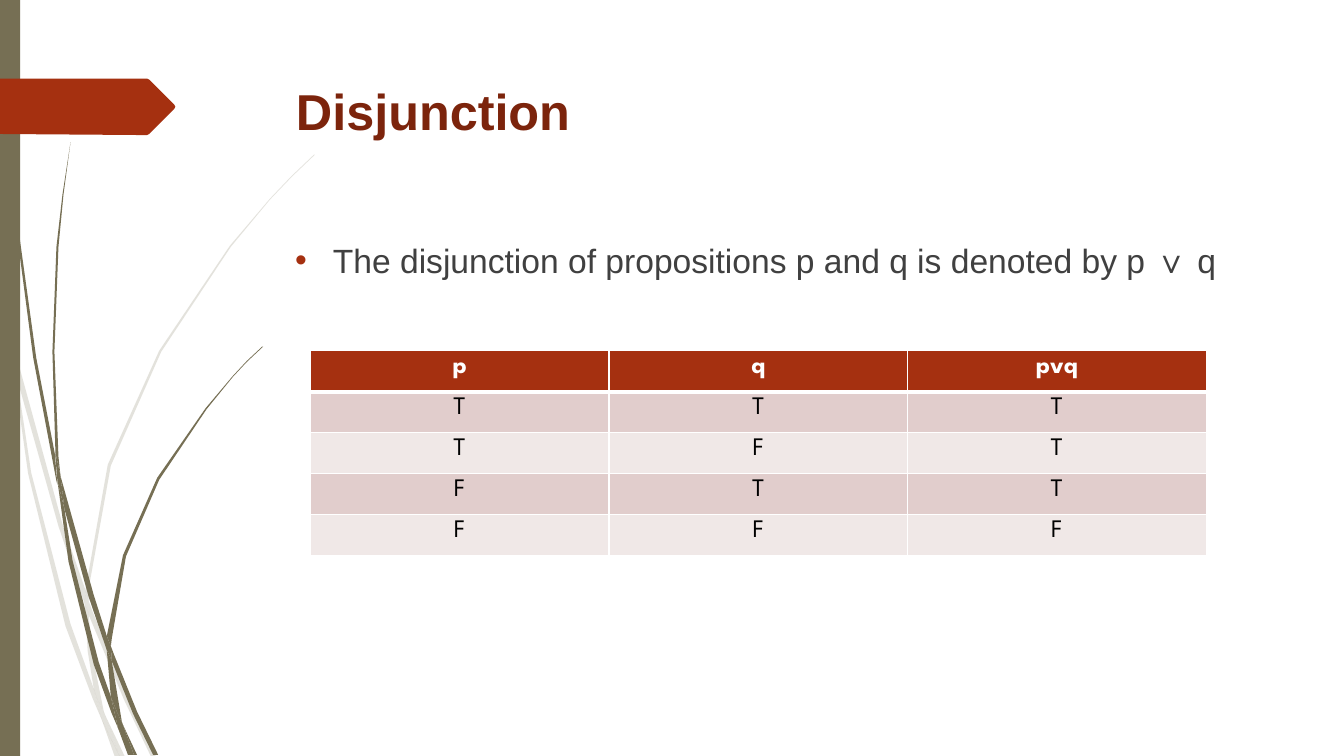
import pptx
import pptx.util
import pptx.dml.color
import pptx.enum.shapes
import pptx.enum.text
import pptx.oxml
import pptx.oxml.ns

Cm = pptx.util.Cm
Pt = pptx.util.Pt
RGBColor = pptx.dml.color.RGBColor
PP_ALIGN = pptx.enum.text.PP_ALIGN

OLIVE = RGBColor(0x76, 0x6F, 0x54)
RUST = RGBColor(0xA5, 0x30, 0x10)
DARK_RUST = RGBColor(0x7C, 0x24, 0x0C)
GREY = RGBColor(0x40, 0x40, 0x40)
BLACK = RGBColor(0, 0, 0)
WHITE = RGBColor(0xFF, 0xFF, 0xFF)
BANDS = (RGBColor(0xE1, 0xCD, 0xCC), RGBColor(0xF0, 0xE8, 0xE7))

TITLE = "Disjunction"
STATEMENT = "The disjunction of propositions p and q is denoted by p ∨ q"
TRUTH_TABLE = [
    ("p", "q", "pvq"),
    ("T", "T", "T"),
    ("T", "F", "T"),
    ("F", "T", "T"),
    ("F", "F", "F"),
]
TITLE_FONT = {"name": "Arial", "size": Pt(36), "bold": True}
BODY_FONT = {"name": "Arial", "size": Pt(24), "bold": False}
HEAD_FONT = {"name": "League Spartan", "size": Pt(18), "bold": True}
CELL_FONT = {"name": "League Spartan", "size": Pt(18), "bold": False}

GRID = Cm(0.0254)
PALE_GRASS = [
    [(11, 350), (9, 322), (0, 282), (0, 299), (10, 344)],
    [(58, 522), (84, 599), (85, 586), (62, 520), (14, 345), (17, 376)],
    [(92, 607), (88, 596), (88, 610), (123, 694), (150, 751), (155, 751),
     (127, 692)],
    [(119, 751), (124, 751), (105, 711)],
    [(93, 683), (70, 619), (31, 469), (17, 376), (11, 350), (28, 470),
     (65, 621), (92, 693), (101, 714), (99, 707)],
    [(84, 599), (87, 646), (93, 683), (96, 692), (105, 711), (103, 706),
     (91, 646), (88, 610), (88, 608)],
    [(88, 584), (110, 462), (160, 349), (229, 245), (268, 198), (290, 175),
     (312, 154), (312, 153), (289, 175), (268, 197), (228, 244), (158, 348),
     (107, 461), (85, 584), (85, 586), (88, 596)],
    [(101, 714), (114, 751), (119, 751)],
    [(88, 608), (88, 610), (88, 596), (85, 586), (84, 599)],
    [(96, 692), (93, 683), (99, 707), (101, 714), (119, 751), (105, 711)],
]
DARK_GRASS = [
    [(7, 110), (17, 233), (33, 355), (56, 477), (57, 481), (55, 457),
     (55, 453), (36, 355), (19, 232), (8, 109), (5, 48), (4, 0), (3, 0),
     (4, 48)],
    [(88, 592), (106, 645), (106, 633), (106, 631), (93, 590), (60, 472),
     (64, 505)],
    [(113, 649), (110, 641), (111, 656), (132, 708), (152, 749), (157, 749),
     (136, 706)],
    [(110, 691), (98, 657), (72, 556), (64, 505), (57, 477), (68, 557),
     (93, 659), (111, 708), (117, 722), (116, 717)],
    [(60, 472), (58, 453), (54, 349), (58, 245), (63, 193), (70, 141),
     (62, 193), (56, 245), (52, 349), (55, 449)],
    [(133, 749), (136, 749), (122, 719)],
    [(57, 477), (64, 505), (60, 472), (55, 449), (55, 453)],
    [(111, 633), (125, 552), (158, 476), (205, 406), (231, 374), (245, 359),
     (261, 344), (260, 344), (245, 358), (231, 373), (204, 405), (156, 474),
     (122, 551), (106, 631), (110, 641)],
    [(117, 722), (127, 749), (131, 749)],
    [(106, 645), (110, 691), (116, 706), (122, 719), (121, 716), (111, 656),
     (109, 651)],
    [(106, 645), (109, 651), (111, 656), (110, 641), (106, 631), (106, 633)],
    [(116, 706), (110, 691), (116, 717), (117, 722), (130, 749), (133, 749),
     (122, 719)],
]
ARROW_TAG = [(0, 78), (146, 78), (148, 79), (173, 104), (174, 106),
             (173, 108), (148, 133), (146, 134), (136, 134), (0, 133)]


def paint(sp, color):
    sp.shadow.inherit = False
    sp.fill.solid()
    sp.fill.fore_color.rgb = color
    sp.line.fill.background()


def add_outline(shapes, points, color):
    fb = shapes.build_freeform(*points[0], scale=GRID)
    fb.add_line_segments(points[1:], close=True)
    sp = fb.convert_to_shape()
    paint(sp, color)
    return sp


def add_xml(parent, xml):
    ns = pptx.oxml.ns.nsdecls("a")
    parent.append(pptx.oxml.parse_xml(xml.replace("/>", f" {ns}/>", 1)
                                      if xml.endswith("/>") and xml.count("<") == 1
                                      else xml.replace(">", f" {ns}>", 1)))


def write(p, text, font, color):
    p.text = text
    r = p.runs[0]
    for key, value in font.items():
        setattr(r.font, key, value)
    r.font.color.rgb = color


def add_text(s, box, text, font, color):
    tf = s.shapes.add_textbox(*(Cm(v) for v in box)).text_frame
    tf.word_wrap = True
    write(tf.paragraphs[0], text, font, color)
    return tf


def set_borders(cell, bottom):
    tc_pr = cell._tc.get_or_add_tcPr()
    fill = tc_pr[0]
    for side, width in (("L", 1), ("R", 1), ("T", 1), ("B", bottom)):
        ns = pptx.oxml.ns.nsdecls("a")
        fill.addprevious(pptx.oxml.parse_xml(
            f'<a:ln{side} {ns} w="{Pt(width)}"><a:solidFill>'
            f'<a:srgbClr val="{WHITE}"/></a:solidFill></a:ln{side}>'))


def add_truth_table(s):
    rows, cols = len(TRUTH_TABLE), len(TRUTH_TABLE[0])
    box = (Cm(7.82), Cm(8.84), Cm(22.58), Cm(5.16))
    table = s.shapes.add_table(rows, cols, *box).table
    for i, values in enumerate(TRUTH_TABLE):
        head = i == 0
        for j, value in enumerate(values):
            cell = table.cell(i, j)
            cell.fill.solid()
            cell.fill.fore_color.rgb = RUST if head else BANDS[(i - 1) % 2]
            p = cell.text_frame.paragraphs[0]
            p.alignment = PP_ALIGN.CENTER
            write(p, value, HEAD_FONT if head else CELL_FONT,
                  WHITE if head else BLACK)
            set_borders(cell, 3 if head else 1)


def main():
    prs = pptx.Presentation()
    prs.slide_width, prs.slide_height = Cm(33.87), Cm(19.05)
    s = prs.slides.add_slide(prs.slide_layouts[6])

    for strands, opacity in ((PALE_GRASS, 20), (DARK_GRASS, 100)):
        group = s.shapes.add_group_shape()
        for points in strands:
            sp = add_outline(group.shapes, points, OLIVE)
            if opacity < 100:
                clr = sp._element.spPr.find(".//" + pptx.oxml.ns.qn("a:srgbClr"))
                add_xml(clr, f'<a:alpha val="{opacity * 1000}"/>')

    bar = s.shapes.add_shape(pptx.enum.shapes.MSO_SHAPE.RECTANGLE,
                             0, 0, Cm(0.51), prs.slide_height)
    paint(bar, OLIVE)
    add_outline(s.shapes, ARROW_TAG, RUST)

    tf = add_text(s, (7.21, 1.73, 24.77, 3.56), TITLE, TITLE_FONT, DARK_RUST)
    tf.margin_top = Cm(0.28)

    tf = add_text(s, (7.19, 5.92, 24.77, 10.49), STATEMENT, BODY_FONT, GREY)
    p_pr = tf.paragraphs[0]._p.get_or_add_pPr()
    p_pr.set("marL", str(Cm(0.95)))
    p_pr.set("indent", str(-Cm(0.95)))
    add_xml(p_pr, f'<a:buClr><a:srgbClr val="{RUST}"/></a:buClr>')
    add_xml(p_pr, '<a:buFont typeface="Arial"/>')
    add_xml(p_pr, '<a:buChar char="•"/>')

    add_truth_table(s)
    prs.save("out.pptx")


if __name__ == "__main__":
    main()
